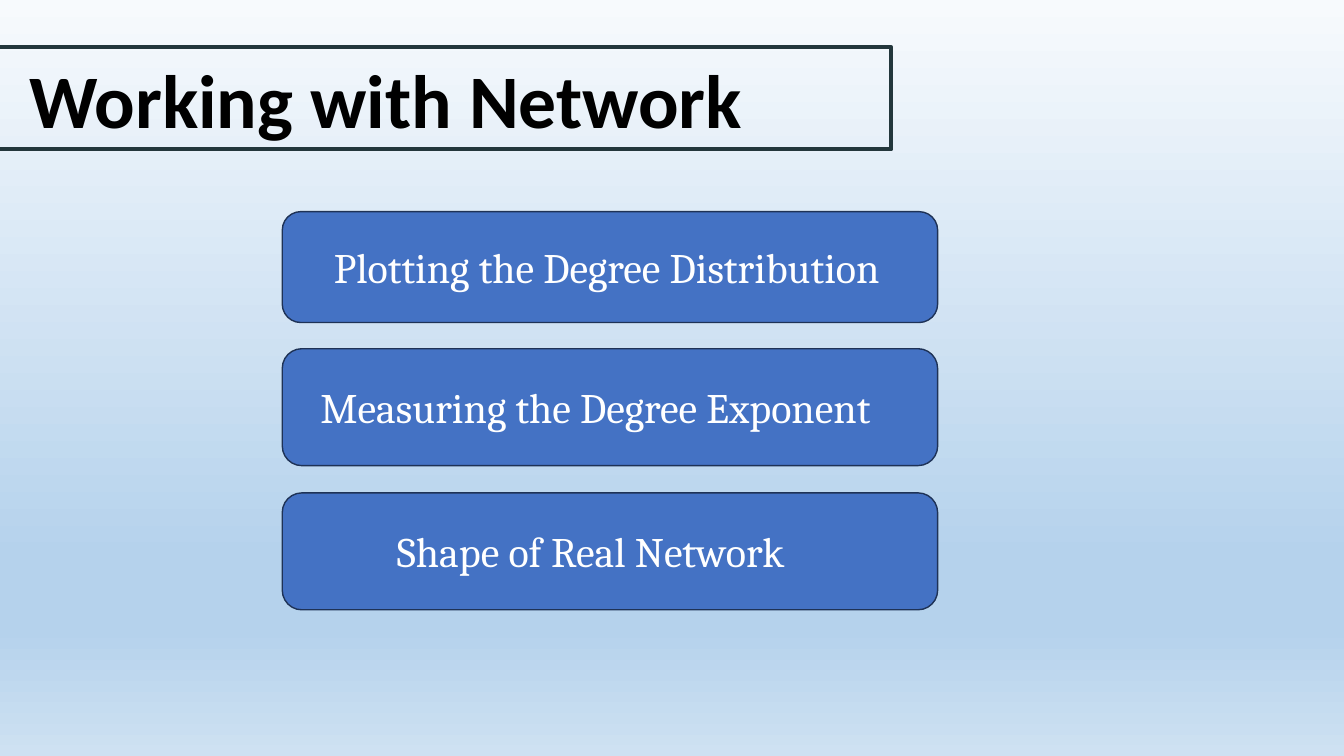
from dataclasses import dataclass

from lxml.etree import SubElement
from pptx import Presentation
from pptx.dml.color import RGBColor as RGB
from pptx.enum.shapes import MSO_SHAPE as Shape
from pptx.enum.text import MSO_ANCHOR as Anchor, MSO_AUTO_SIZE as AutoSize, PP_ALIGN as Align
from pptx.oxml.ns import qn
from pptx.slide import Slide
from pptx.util import Emu, Pt

SCALE = 9144  # EMU per px, 100 px to the inch


@dataclass(frozen=True)
class Theme:
    title_font: str = "Calibri"
    label_font: str = "Cambria"
    title_size: int = 54
    label_size: int = 30
    title_color: str = "000000"
    title_line: str = "23373C"
    label_color: str = "FFFFFF"
    card_fill: str = "4472C4"
    card_line: str = "1E3256"
    backdrop: tuple[tuple[int, str], ...] = (
        (0, "F7FAFD"), (74, "B5D2EC"), (83, "B5D2EC"), (100, "CEE1F2"))


@dataclass(frozen=True)
class Topic:
    text: str
    top: int
    height: int
    label_left: int
    label_top: int
    align: Align


THEME = Theme()
CARD_LEFT, CARD_WIDTH, LABEL_HEIGHT = 280, 650, 61
TOPICS = (
    Topic("Plotting the Degree Distribution", 210, 110, 277, 235, Align.CENTER),
    Topic("Measuring the Degree Exponent", 346, 116, 308, 374, Align.LEFT),
    Topic("Shape of Real Network", 489, 116, 261, 516, Align.CENTER),
)


def px(n: int) -> Emu:
    return Emu(n * SCALE)


def paint_background(s: Slide) -> None:
    fill = s.background.fill
    fill.gradient()
    fill.gradient_angle = 270
    stops = next(s.element.iter(qn("a:gsLst")))
    for stop in list(stops):
        stops.remove(stop)
    for percent, color in THEME.backdrop:
        stop = SubElement(stops, qn("a:gs"), pos=str(percent * 1000))
        SubElement(stop, qn("a:srgbClr"), val=color)


def add_title(s: Slide, text: str) -> None:
    sp = s.shapes.title
    sp.left, sp.top, sp.width, sp.height = px(-32), px(47), px(916), px(101)
    sp.line.color.rgb = RGB.from_string(THEME.title_line)
    sp.line.width = Pt(3)
    tf = sp.text_frame
    tf.text = text
    tf.auto_size = AutoSize.SHAPE_TO_FIT_TEXT
    tf.vertical_anchor = Anchor.TOP
    tf.margin_left = px(61)
    p = tf.paragraphs[0]
    p.alignment = Align.LEFT
    p.font.name, p.font.size, p.font.bold = THEME.title_font, Pt(THEME.title_size), True
    p.font.color.rgb = RGB.from_string(THEME.title_color)


def add_topic(s: Slide, topic: Topic) -> None:
    # Card
    card = s.shapes.add_shape(Shape.ROUNDED_RECTANGLE, px(CARD_LEFT), px(topic.top),
                              px(CARD_WIDTH), px(topic.height))
    card.shadow.inherit = False
    card.fill.solid()
    card.fill.fore_color.rgb = RGB.from_string(THEME.card_fill)
    card.line.color.rgb = RGB.from_string(THEME.card_line)
    card.line.width = Pt(1)

    # Label
    label = s.shapes.add_textbox(px(topic.label_left), px(topic.label_top),
                                 px(CARD_WIDTH), px(LABEL_HEIGHT))
    tf = label.text_frame
    tf.word_wrap = True
    tf.auto_size = AutoSize.SHAPE_TO_FIT_TEXT
    tf.text = topic.text
    p = tf.paragraphs[0]
    p.alignment = topic.align
    p.font.name, p.font.size = THEME.label_font, Pt(THEME.label_size)
    p.font.color.rgb = RGB.from_string(THEME.label_color)


def main() -> None:
    prs = Presentation()
    prs.slide_width, prs.slide_height = px(1333), px(750)
    s = prs.slides.add_slide(prs.slide_layouts[5])  # title only
    paint_background(s)
    add_title(s, "Working with Network")
    for topic in TOPICS:
        add_topic(s, topic)
    prs.save("out.pptx")


if __name__ == "__main__":
    main()
